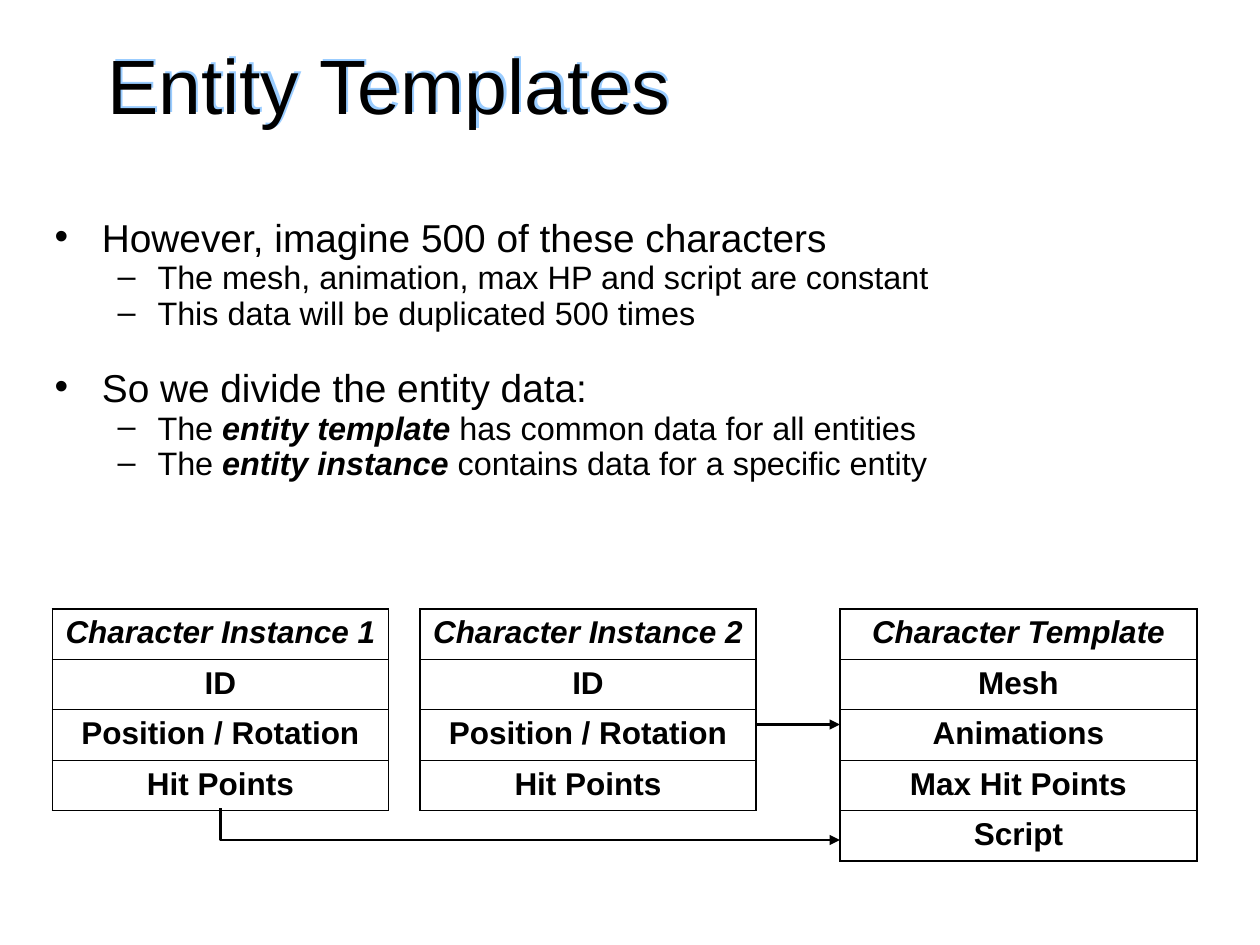
from dataclasses import dataclass

from lxml import etree
from pptx import Presentation
from pptx import util as u
from pptx.dml.color import RGBColor
from pptx.enum import shapes, text
from pptx.oxml.ns import qn

EMU_PER_PX = 7620  # 120 px to the inch
FONT = "Arial"
COLORS = {"ink": "000000", "glow": "99CCFF"}
THICK, THIN, ARROW = 1.08, 0.45, 1.5  # line widths in points
ROW_H = 48


@dataclass
class Level:
    bullet: str
    size: float
    indent: int
    hanging: int
    before: float


@dataclass
class Item:
    level: int
    phrases: list[str]  # every second phrase is emphasised
    before: float | None = None


@dataclass
class EntityTable:
    x: int
    w: int
    labels: list[str]


LEVELS = [Level("•", 22.2, 45, 45, 6), Level("–", 18.5, 98, 38, 5)]
ITEMS = [
    Item(0, ["However, imagine 500 of these characters"], 0),
    Item(1, ["The mesh, animation, max HP and script are constant"]),
    Item(1, ["This data will be duplicated 500 times"]),
    Item(0, ["So we divide the entity data:"], 26),
    Item(1, ["The ", "entity template", " has common data for all entities"]),
    Item(1, ["The ", "entity instance", " contains data for a specific entity"]),
]
INSTANCE_ROWS = ["ID", "Position / Rotation", "Hit Points"]
TABLE_TOP = 580
TABLES = [
    EntityTable(50, 320, ["Character Instance 1", *INSTANCE_ROWS]),
    EntityTable(400, 320, ["Character Instance 2", *INSTANCE_ROWS]),
    EntityTable(800, 340, ["Character Template", "Mesh", "Animations",
                           "Max Hit Points", "Script"]),
]


def px(n: int) -> int:
    return u.Emu(n * EMU_PER_PX)


def rgb(name: str) -> RGBColor:
    return RGBColor.from_string(COLORS[name])


def add(parent, tag: str, **attrs):
    return etree.SubElement(parent, qn(tag), {k: str(v) for k, v in attrs.items()})


def place(sp, x: int, y: int, w: int, h: int) -> None:
    sp.left, sp.top, sp.width, sp.height = px(x), px(y), px(w), px(h)


def set_font(p, size: float, bold: bool = False, italic: bool = False) -> None:
    f = p.font
    f.name, f.size, f.bold, f.italic = FONT, u.Pt(size), bold, italic
    f.color.rgb = rgb("ink")


def fill_title(sp, title: str) -> None:
    place(sp, 90, 5, 1020, 150)
    tf = sp.text_frame
    tf.text = title
    tf.auto_size = text.MSO_AUTO_SIZE.NONE
    tf.vertical_anchor = text.MSO_ANCHOR.MIDDLE
    tf.paragraphs[0].alignment = text.PP_ALIGN.LEFT
    set_font(tf.paragraphs[0], 44)
    # Pale blue shadow behind the letters
    effects = add(sp._element.spPr, "a:effectLst")
    shadow = add(effects, "a:outerShdw", dist=px(3), dir=18900000, algn="ctr", rotWithShape=0)
    add(shadow, "a:srgbClr", val=COLORS["glow"])


def fill_body(sp, items: list[Item]) -> None:
    place(sp, 40, 210, 1120, 280)
    tf = sp.text_frame
    tf.auto_size = text.MSO_AUTO_SIZE.NONE
    tf.vertical_anchor = text.MSO_ANCHOR.TOP
    for i, item in enumerate(items):
        p = tf.paragraphs[0] if i == 0 else tf.add_paragraph()
        lv = LEVELS[item.level]
        p.level = item.level
        pPr = p._p.get_or_add_pPr()
        pPr.set("marL", str(px(lv.indent)))
        pPr.set("indent", str(-px(lv.hanging)))
        add(add(pPr, "a:buClr"), "a:srgbClr", val=COLORS["ink"])
        add(pPr, "a:buFont", typeface=FONT)
        add(pPr, "a:buChar", char=lv.bullet)
        p.line_spacing = 0.7
        p.space_before = u.Pt(lv.before if item.before is None else item.before)
        p.space_after = u.Pt(0)
        set_font(p, lv.size)
        for n, phrase in enumerate(item.phrases):
            r = p.add_run()
            r.text = phrase
            if n % 2:
                r.font.bold = r.font.italic = True


def set_borders(cell, top: float, bottom: float) -> None:
    tcPr = cell._tc.get_or_add_tcPr()
    widths = {"a:lnL": THICK, "a:lnR": THICK, "a:lnT": top, "a:lnB": bottom}
    for tag, width in widths.items():
        ln = add(tcPr, tag, w=u.Pt(width))
        add(add(ln, "a:solidFill"), "a:srgbClr", val=COLORS["ink"])


def draw_table(s, entity: EntityTable) -> None:
    count = len(entity.labels)
    table = s.shapes.add_table(count, 1, px(entity.x), px(TABLE_TOP),
                               px(entity.w), px(ROW_H * count)).table
    table.first_row = table.horz_banding = False
    rules = [THICK, THICK] + [THIN] * (count - 2) + [THICK]
    for i, label in enumerate(entity.labels):
        cell = table.cell(i, 0)
        cell.text = label
        cell.margin_left = cell.margin_right = px(12)
        cell.margin_top = cell.margin_bottom = px(6)
        set_borders(cell, rules[i], rules[i + 1])
        cell.fill.background()
        p = cell.text_frame.paragraphs[0]
        p.alignment = text.PP_ALIGN.CENTER
        set_font(p, 18, bold=True, italic=i == 0)


def style_arrow(sp) -> None:
    sp.line.color.rgb = rgb("ink")
    sp.line.width = u.Pt(ARROW)
    spPr = sp._element.spPr
    add(spPr.get_or_add_ln(), "a:tailEnd", type="triangle")
    add(spPr, "a:effectLst")


def draw_arrows(s) -> None:
    first, second, template = TABLES
    # Elbow from below the first instance to the template
    mid, start, end = first.x + first.w // 2, 770, 800
    fb = s.shapes.build_freeform(mid, start, scale=EMU_PER_PX)
    fb.add_line_segments([(mid, end), (template.x, end)], close=False)
    elbow = fb.convert_to_shape()
    elbow.fill.background()
    style_arrow(elbow)
    # Straight link from the second instance
    y = px(690)
    style_arrow(s.shapes.add_connector(shapes.MSO_CONNECTOR.STRAIGHT,
                                       px(second.x + second.w), y, px(template.x), y))


def main() -> None:
    prs = Presentation()
    prs.slide_width, prs.slide_height = px(1200), px(900)
    s = prs.slides.add_slide(prs.slide_layouts[1])
    fill_title(s.shapes.title, "Entity Templates")
    fill_body(s.placeholders[1], ITEMS)
    for entity in TABLES:
        draw_table(s, entity)
    draw_arrows(s)
    prs.save("out.pptx")


if __name__ == "__main__":
    main()
